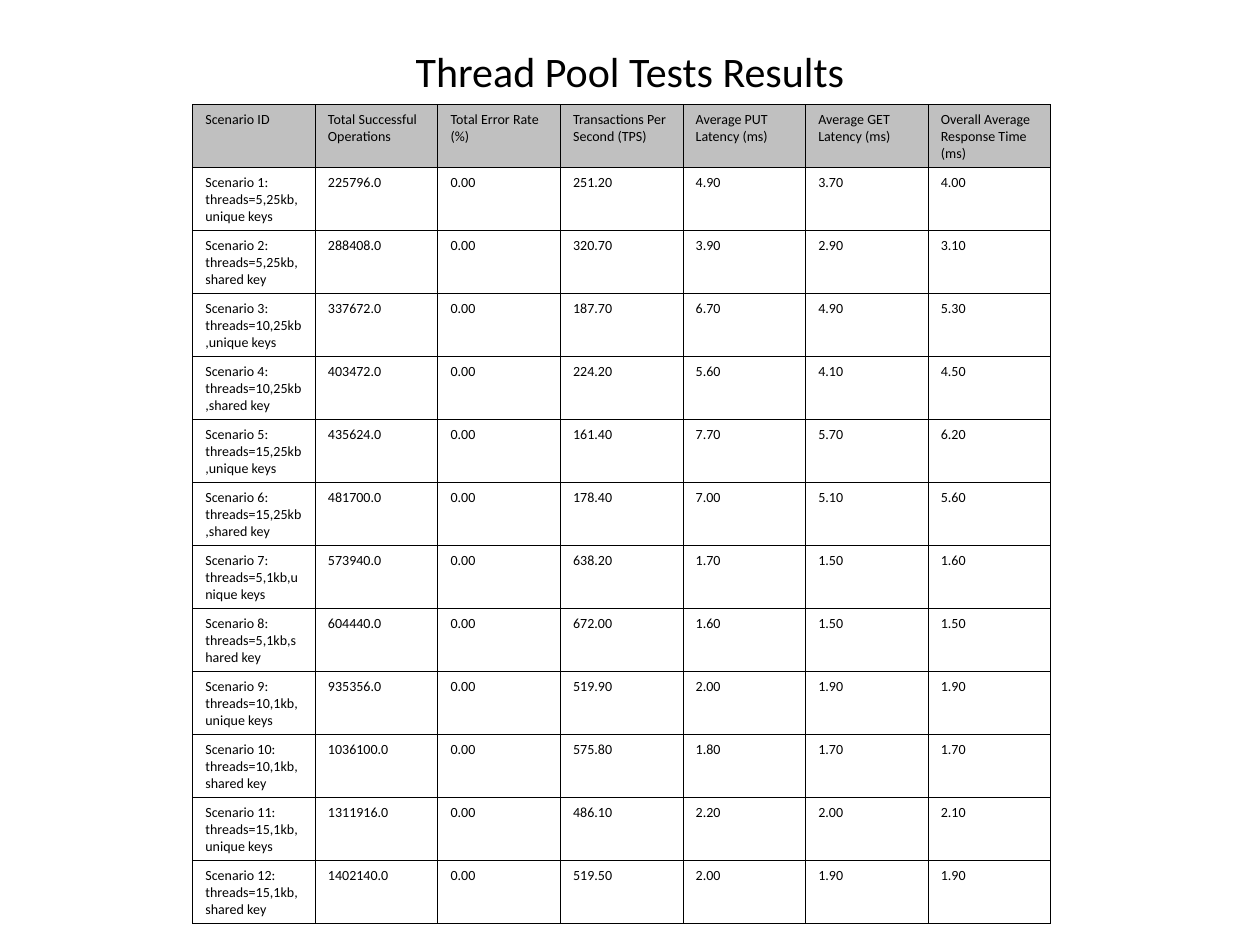
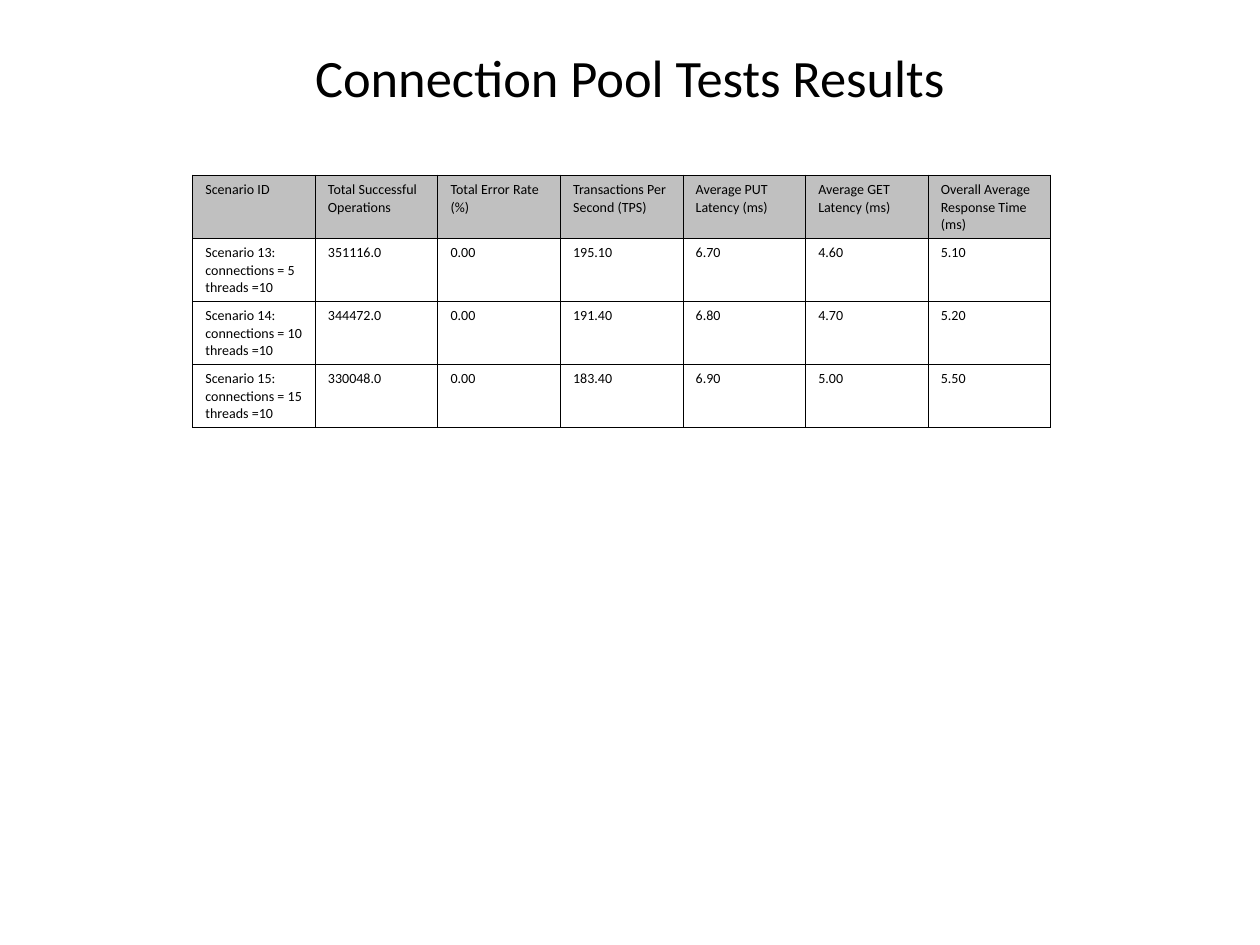
from dataclasses import dataclass
from itertools import product

from lxml import etree
from pptx import Presentation
from pptx.dml.color import RGBColor
from pptx.enum.text import MSO_ANCHOR, PP_ALIGN
from pptx.oxml.ns import qn
from pptx.util import Inches, Pt

CENTER = PP_ALIGN.CENTER
LEFT = PP_ALIGN.LEFT
TOP = MSO_ANCHOR.TOP
BLANK_LAYOUT = 6


@dataclass(frozen=True)
class Theme:
    font: str = "Calibri"
    text: str = "000000"
    border: str = "000000"
    header_fill: str = "C0C0C0"
    body_fill: str = "FFFFFF"
    large_title: float = 30
    small_title: float = 24
    cell_text: float = 8
    border_width: float = 0.75


LEFT_EDGE = Inches(1.53)
TITLE_WIDTH = Inches(6.94)
TITLE_HEIGHT = Inches(0.69)
TABLE_WIDTH = Inches(6.81)
ROW_HEIGHT = Inches(0.5)

TITLE_FRAME = {"word_wrap": True, "vertical_anchor": TOP, "margin_top": Inches(0.36)}
PLAIN_TABLE = {"first_row": False, "horz_banding": False}

HEADERS = (
    "Scenario ID",
    "Total Successful Operations",
    "Total Error Rate (%)",
    "Transactions Per Second (TPS)",
    "Average PUT Latency (ms)",
    "Average GET Latency (ms)",
    "Overall Average Response Time (ms)",
)

THREAD_POOL_RESULTS = (
    (225796, 251.2, 4.9, 3.7, 4.0),
    (288408, 320.7, 3.9, 2.9, 3.1),
    (337672, 187.7, 6.7, 4.9, 5.3),
    (403472, 224.2, 5.6, 4.1, 4.5),
    (435624, 161.4, 7.7, 5.7, 6.2),
    (481700, 178.4, 7.0, 5.1, 5.6),
    (573940, 638.2, 1.7, 1.5, 1.6),
    (604440, 672.0, 1.6, 1.5, 1.5),
    (935356, 519.9, 2.0, 1.9, 1.9),
    (1036100, 575.8, 1.8, 1.7, 1.7),
    (1311916, 486.1, 2.2, 2.0, 2.1),
    (1402140, 519.5, 2.0, 1.9, 1.9),
)

CONNECTION_POOL_RESULTS = (
    (351116, 195.1, 6.7, 4.6, 5.1),
    (344472, 191.4, 6.8, 4.7, 5.2),
    (330048, 183.4, 6.9, 5.0, 5.5),
)

POOL_SIZES = (5, 10, 15)
THREAD_POOL_SETUPS = [
    f"threads={threads},{size},{keys}"
    for size, threads, keys in product(
        ("25kb", "1kb"), POOL_SIZES, ("unique keys", "shared key")
    )
]
CONNECTION_POOL_SETUPS = [
    f"connections = {connections} threads =10" for connections in POOL_SIZES
]


def apply_format(target, values):
    for name, value in values.items():
        setattr(target, name, value)


def result_rows(setups, results, first_number):
    rows = []
    for number, (setup, result) in enumerate(zip(setups, results), first_number):
        operations, *rates = result
        rows.append(
            [f"Scenario {number}: {setup}", f"{operations:.1f}", "0.00"]
            + [f"{rate:.2f}" for rate in rates]
        )
    return rows


class Deck:
    def __init__(self, theme):
        self.theme = theme
        self.presentation = Presentation()
        self.presentation.slide_width = Inches(10)
        self.presentation.slide_height = Inches(7.5)
        self.slide = None

    def add_slide(self):
        layout = self.presentation.slide_layouts[BLANK_LAYOUT]
        self.slide = self.presentation.slides.add_slide(layout)

    def fill_text(self, text_frame, text, size, alignment):
        paragraph = text_frame.paragraphs[0]
        paragraph.alignment = alignment
        run = paragraph.add_run()
        run.text = text
        apply_format(run.font, {"name": self.theme.font, "size": Pt(size), "bold": False})
        run.font.color.rgb = RGBColor.from_string(self.theme.text)

    def title(self, text, size):
        shape = self.slide.shapes.add_textbox(LEFT_EDGE, 0, TITLE_WIDTH, TITLE_HEIGHT)
        apply_format(shape.text_frame, TITLE_FRAME)
        self.fill_text(shape.text_frame, text, size, CENTER)

    def cell_borders(self, cell):
        properties = cell._tc.get_or_add_tcPr()
        for side in ("a:lnL", "a:lnR", "a:lnT", "a:lnB"):
            line = etree.SubElement(
                properties, qn(side), w=str(Pt(self.theme.border_width))
            )
            fill = etree.SubElement(line, qn("a:solidFill"))
            etree.SubElement(fill, qn("a:srgbClr"), val=self.theme.border)

    def table(self, top, rows):
        frame = self.slide.shapes.add_table(
            len(rows), len(rows[0]), LEFT_EDGE, top, TABLE_WIDTH, ROW_HEIGHT * len(rows)
        )
        table = frame.table
        apply_format(table, PLAIN_TABLE)
        for row_index, row in enumerate(rows):
            color = self.theme.body_fill if row_index else self.theme.header_fill
            for column_index, text in enumerate(row):
                cell = table.cell(row_index, column_index)
                self.cell_borders(cell)
                cell.fill.solid()
                cell.fill.fore_color.rgb = RGBColor.from_string(color)
                self.fill_text(cell.text_frame, text, self.theme.cell_text, LEFT)

    def results_slide(self, title, title_size, table_top, rows):
        self.add_slide()
        self.title(title, title_size)
        self.table(table_top, [HEADERS, *rows])


def main():
    theme = Theme()
    deck = Deck(theme)
    deck.results_slide(
        "Thread Pool Tests Results",
        theme.small_title,
        Inches(0.83),
        result_rows(THREAD_POOL_SETUPS, THREAD_POOL_RESULTS, 1),
    )
    deck.results_slide(
        "Connection Pool Tests Results",
        theme.large_title,
        Inches(1.39),
        result_rows(CONNECTION_POOL_SETUPS, CONNECTION_POOL_RESULTS, 13),
    )
    deck.presentation.save("out.pptx")


if __name__ == "__main__":
    main()
